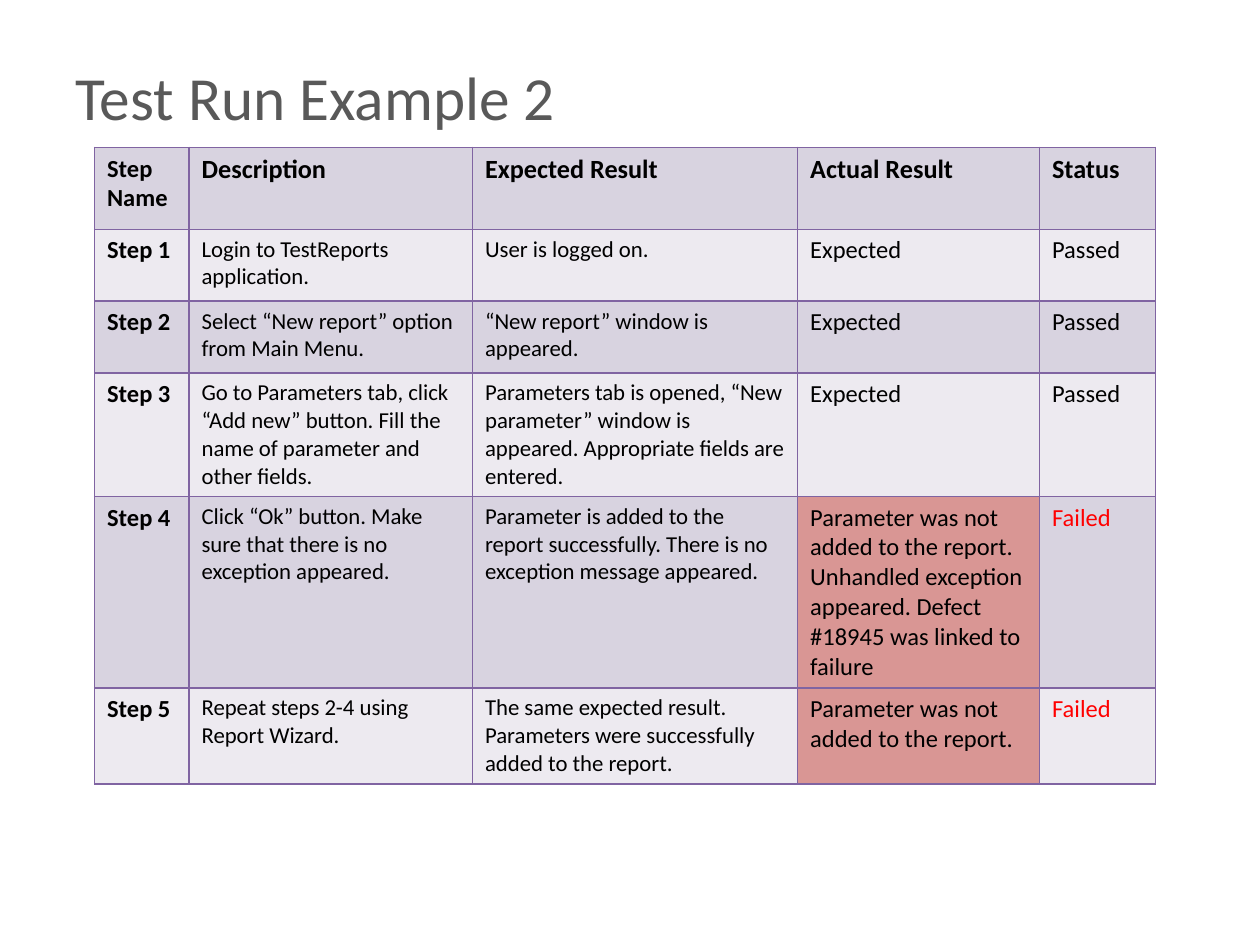
from dataclasses import dataclass

from lxml import etree
from pptx import Presentation
from pptx.dml.color import RGBColor
from pptx.enum.text import MSO_ANCHOR, MSO_AUTO_SIZE, PP_ALIGN
from pptx.oxml.ns import qn
from pptx.util import Inches, Pt

LEFT, TOP, MIDDLE = PP_ALIGN.LEFT, MSO_ANCHOR.TOP, MSO_ANCHOR.MIDDLE
NO_FIT = MSO_AUTO_SIZE.NONE
TITLE_ONLY = 5


@dataclass(frozen=True)
class Theme:
    font: str = "Calibri"
    title: str = "595959"
    text: str = "000000"
    failed: str = "FF0000"
    failed_fill: str = "D99694"
    bands: tuple = ("D8D3E0", "EDEAF0")
    border: str = "8064A2"
    title_size: int = 35
    header_size: int = 15
    label_size: int = 14
    detail_size: int = 13


THEME = Theme()
COLUMNS = [0.75, 2.25, 2.58, 1.92, 0.92]
ROWS = [0.65, 0.57, 0.57, 0.97, 1.5, 0.75]
HEADER = ["Step Name", "Description", "Expected Result", "Actual Result", "Status"]
STEPS = [
    ("Login to TestReports application.", "User is logged on.", "Expected", "Passed"),
    ("Select “New report” option from Main Menu.",
     "“New report” window is appeared.", "Expected", "Passed"),
    ("Go to Parameters tab, click “Add new” button. Fill the name of parameter "
     "and other fields.",
     "Parameters tab is opened, “New parameter” window is appeared. "
     "Appropriate fields are entered.", "Expected", "Passed"),
    ("Click “Ok” button. Make sure that there is no exception appeared.",
     "Parameter is added to the report successfully. There is no exception "
     "message appeared.",
     "Parameter was not added to the report. Unhandled exception appeared. "
     "Defect #18945 was linked to failure", "Failed"),
    ("Repeat steps 2-4 using Report Wizard.",
     "The same expected result. Parameters were successfully added to the report.",
     "Parameter was not added to the report.", "Failed"),
]


def write_text(frame, text, color, **formats):
    para = frame.paragraphs[0]
    para.alignment = LEFT
    span = para.add_run()
    span.text = text
    span.font.color.rgb = RGBColor.from_string(color)
    for name, value in {"name": THEME.font, **formats}.items():
        setattr(span.font, name, value)


def add_borders(cell):
    properties = cell._tc.get_or_add_tcPr()
    for position, side in enumerate(("a:lnL", "a:lnR", "a:lnT", "a:lnB")):
        line = etree.Element(qn(side), w=str(Pt(1)))
        fill = etree.SubElement(line, qn("a:solidFill"))
        etree.SubElement(fill, qn("a:srgbClr"), val=THEME.border)
        properties.insert(position, line)


def add_title(page, text, left, top, width, height):
    title = page.shapes.title
    box = {"left": left, "top": top, "width": width, "height": height}
    for name, value in box.items():
        setattr(title, name, Inches(value))
    frame = title.text_frame
    layout = {"word_wrap": False, "auto_size": NO_FIT, "vertical_anchor": MIDDLE}
    for name, value in layout.items():
        setattr(frame, name, value)
    write_text(frame, text, THEME.title, size=Pt(THEME.title_size))


def fill_cell(cell, text, row, column, failed):
    # Headings and step names are bold; descriptions are smaller
    if row == 0 and column > 0:
        size = THEME.header_size
    else:
        size = THEME.detail_size if column in (1, 2) else THEME.label_size
    color = THEME.failed if failed and column == 4 else THEME.text
    band = THEME.failed_fill if failed and column == 3 else THEME.bands[row % 2]
    cell.fill.solid()
    cell.fill.fore_color.rgb = RGBColor.from_string(band)
    cell.vertical_anchor = TOP
    write_text(cell.text_frame, text, color, size=Pt(size),
               bold=row == 0 or column == 0)
    add_borders(cell)


def add_run_table(page, left, top, width, height):
    records = [HEADER] + [(f"Step {number}", *step)
                          for number, step in enumerate(STEPS, 1)]
    table = page.shapes.add_table(
        len(ROWS), len(COLUMNS),
        *(Inches(value) for value in (left, top, width, height))).table
    for column, share in zip(table.columns, COLUMNS):
        column.width = Inches(width * share / sum(COLUMNS))
    for row, share in zip(table.rows, ROWS):
        row.height = Inches(height * share / sum(ROWS))
    for row, record in enumerate(records):
        for column, text in enumerate(record):
            fill_cell(table.cell(row, column), text, row, column,
                      record[-1] == "Failed")


deck = Presentation()
deck.slide_width, deck.slide_height = Inches(10), Inches(7.5)
page = deck.slides.add_slide(deck.slide_layouts[TITLE_ONLY])

# Heading
add_title(page, "Test Run Example 2", 0.5, 0.42, 4.04, 0.69)

# Test run steps
add_run_table(page, 0.75, 1.17, sum(COLUMNS), sum(ROWS))

deck.save("out.pptx")
